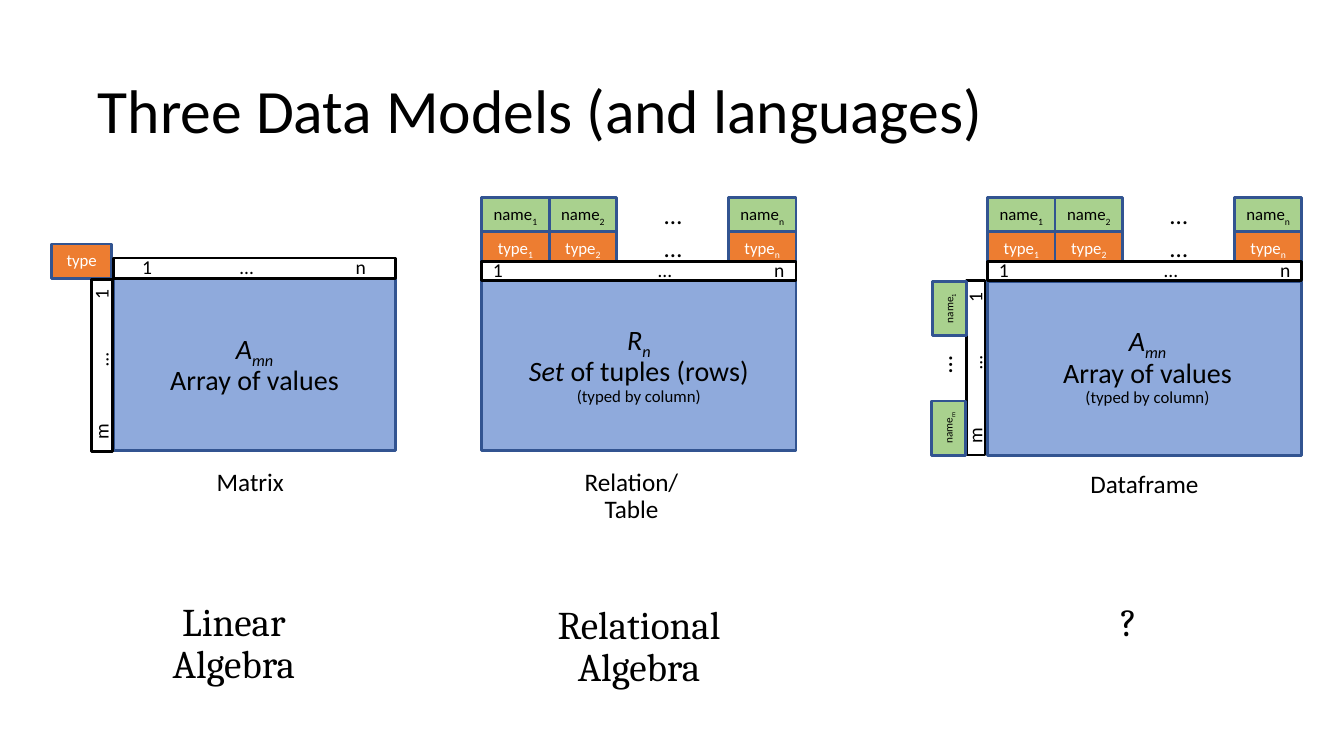
"""Build a slide comparing the matrix, relation and dataframe data models."""
from dataclasses import dataclass

from lxml import etree
from pptx import Presentation
from pptx.dml.color import RGBColor
from pptx.enum.shapes import MSO_SHAPE
from pptx.enum.text import MSO_ANCHOR, PP_ALIGN
from pptx.oxml.ns import qn
from pptx.util import Cm, Pt

RECTANGLE = MSO_SHAPE.RECTANGLE
MIDDLE, TOP = MSO_ANCHOR.MIDDLE, MSO_ANCHOR.TOP
CENTER, LEFT = PP_ALIGN.CENTER, PP_ALIGN.LEFT


@dataclass(frozen=True)
class Theme:
    black: RGBColor = RGBColor(0x00, 0x00, 0x00)
    white: RGBColor = RGBColor(0xFF, 0xFF, 0xFF)
    blue: RGBColor = RGBColor(0x8F, 0xAA, 0xDC)
    navy: RGBColor = RGBColor(0x32, 0x54, 0x91)
    orange: RGBColor = RGBColor(0xED, 0x7D, 0x31)
    green: RGBColor = RGBColor(0xA9, 0xD1, 0x8E)
    sans: str = "Calibri"
    serif: str = "Cambria"
    title: int = 44
    language: int = 28
    body: int = 20
    caption: int = 18
    index: int = 14
    cell: int = 12
    row_name: int = 8


theme = Theme()
deck = Presentation()
deck.slide_width, deck.slide_height = Cm(33.87), Cm(19.05)
page = deck.slides.add_slide(deck.slide_layouts[6])


def add_box(place, paragraphs, size, fill=None, line=theme.navy, color=theme.black,
            font=theme.sans, align=CENTER, anchor=TOP, rotation=0):
    """Add a filled rectangle or a text box; a run is (text, style, optional size)."""
    lengths = [Cm(value) for value in place]
    if fill is None:
        box = page.shapes.add_textbox(*lengths)
    else:
        box = page.shapes.add_shape(RECTANGLE, *lengths)
        box.shadow.inherit = False
        box.fill.solid()
        box.fill.fore_color.rgb = fill
        box.line.color.rgb = line
        box.line.width = Pt(2)
        anchor = MIDDLE
    box.rotation = rotation
    frame = box.text_frame
    frame.word_wrap = True
    frame.vertical_anchor = anchor
    for number, runs in enumerate(paragraphs):
        para = frame.add_paragraph() if number else frame.paragraphs[0]
        para.alignment = align
        para.line_spacing = 0.9
        for text, style, *own_size in runs:
            span = para.add_run()
            span.text = text
            span.font.name = font
            span.font.size = Pt(own_size[0] if own_size else size)
            span.font.color.rgb = color
            span.font.italic = "italic" in style
            if "sub" in style:
                span.font._element.set("baseline", "-25000")
    return box


def add_index_bar(place, labels, stops, rotation=0):
    """Add a white bar whose labels are centred on tab stops."""
    text = "".join("\t" + label for label in labels)
    bar = add_box(place, [[(text, "")]], theme.index, theme.white, theme.black,
                  align=LEFT, rotation=rotation)
    frame = bar.text_frame
    frame.margin_left = frame.margin_right = frame.margin_top = frame.margin_bottom = 0
    tabs = etree.SubElement(frame.paragraphs[0]._p.get_or_add_pPr(), qn("a:tabLst"))
    for stop in stops:
        etree.SubElement(tabs, qn("a:tab"), pos=str(Cm(stop)), algn="ctr")


title = add_box((2.34, 1.02, 28.75, 3.68), [[("Three Data Models (and languages)", "")]],
                theme.title, align=LEFT, anchor=MIDDLE)
title.text_frame.margin_left = title.text_frame.margin_right = Cm(0.13)

matrix_left, relation_left, dataframe_left = 2.87, 12.14, 24.89
matrix_width, table_width = 7.09, 7.92
array_name = [("A", "italic"), ("mn", "italic sub")]
typed_note = [("(typed by column)", "", theme.cell)]

bodies = [
    ((matrix_left, 7.01, matrix_width, 4.34), [array_name, [("Array of values", "")]]),
    ((relation_left, 7.01, table_width, 4.34),
     [[("R", "italic"), ("n", "italic sub")],
      [("Set", "italic"), (" of tuples (rows)", "")], typed_note]),
    ((dataframe_left, 7.09, table_width, 4.39), []),
]
for place, paragraphs in bodies:
    add_box(place, paragraphs, theme.body, theme.blue)
add_box((24.97, 8.05, 7.9, 2.26), [array_name, [("Array of values", "")], typed_note],
        theme.body)

add_box((1.3, 6.15, 1.52, 0.86), [[("type", "")]], theme.cell, theme.orange,
        color=theme.white)

cell_width, cell_height = 1.7, 0.86
header_rows = [("type", 5.82, theme.orange, theme.white),
               ("name", 4.98, theme.green, theme.black)]
for left in (relation_left, dataframe_left):
    for word, top, fill, color in header_rows:
        for mark, offset in (("1", 0), ("2", cell_width), ("n", table_width - cell_width)):
            add_box((left + offset, top, cell_width, cell_height),
                    [[(word, ""), (mark, "sub")]], theme.cell, fill, color=color)
        add_box((left + 2 * cell_width, top, 2.84, 0.94), [[("…", "")]], theme.caption)
    add_index_bar((left, 6.6, table_width, 0.48), "1…n", (0.41, 4.62, 7.5))

add_index_bar((matrix_left, 6.5, matrix_width, 0.53), "1…n", (0.84, 3.35, 6.22))
for place in ((0.41, 8.94, 4.34, 0.53), (22.4, 9.04, 4.39, 0.46)):
    add_index_bar(place, "m…1", (0.49, 2.32, 3.96), rotation=270)

for mark, left, top in (("m", 23.22, 10.36), ("1", 23.24, 7.34)):
    add_box((left, top, 1.37, cell_height), [[("name", ""), (mark, "sub")]],
            theme.row_name, theme.green, rotation=270)
add_box((23.14, 8.71, 1.3, 0.94), [[("…", "")]], theme.caption, rotation=270)

captions = [("Matrix", (5.21, 11.71, 2.41, 0.94), LEFT),
            ("Relation/ Table", (14.48, 11.71, 2.87, 1.65), CENTER),
            ("Dataframe", (27.23, 11.76, 3.43, 0.94), LEFT)]
for text, place, align in captions:
    add_box(place, [[(text, "")]], theme.caption, align=align)

languages = [("Linear Algebra", 2.82, 15.06, 2.64),
             ("Relational Algebra", 13.03, 15.14, 2.64),
             ("?", 25.37, 15.06, 1.45)]
for text, left, top, height in languages:
    add_box((left, top, 6.15, height), [[(text, "")]], theme.language, font=theme.serif)

deck.save("out.pptx")
